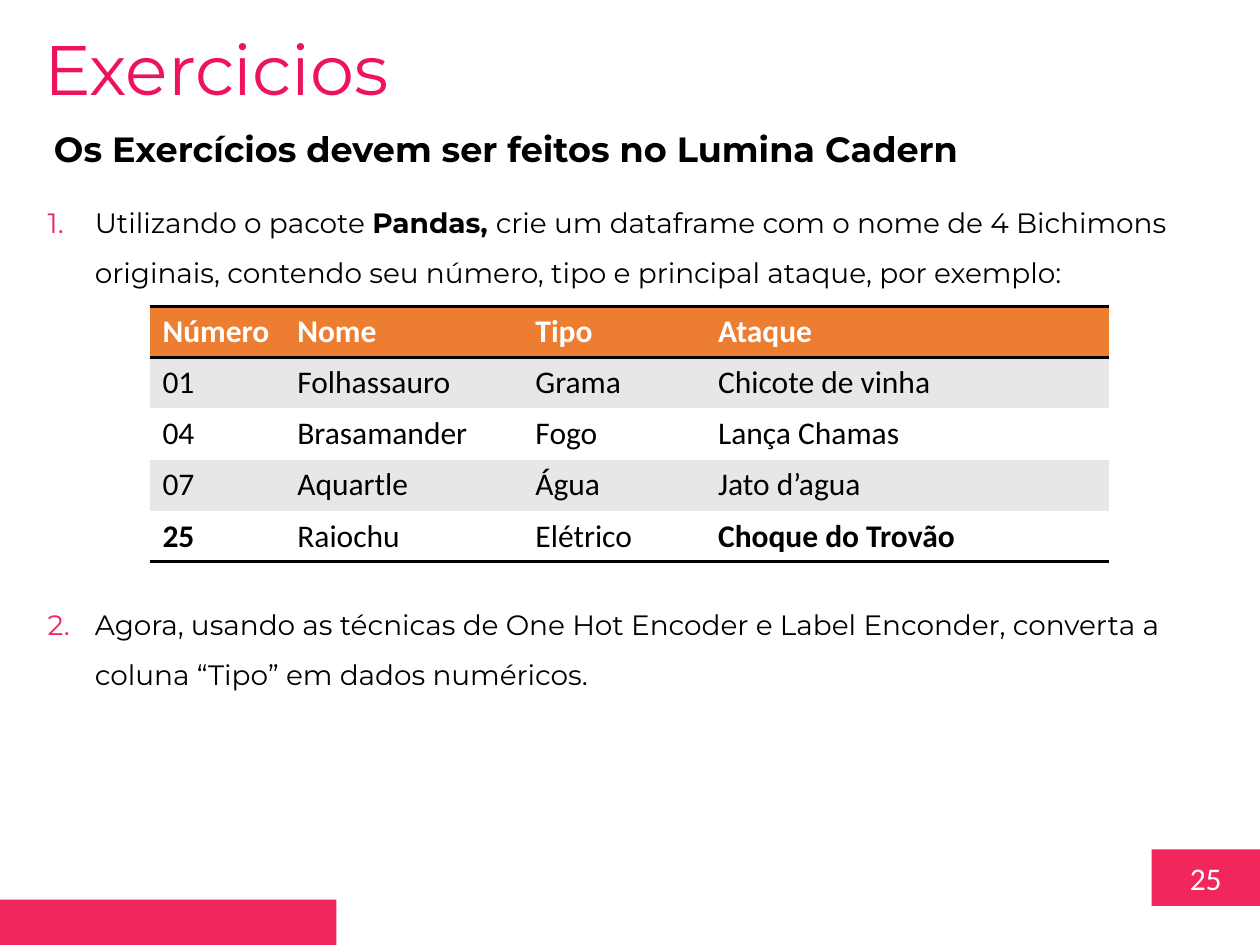
from dataclasses import dataclass

import lxml.etree
import pptx
import pptx.dml.color
import pptx.enum.shapes
import pptx.enum.text
import pptx.oxml.ns
import pptx.util

CELL = 0.1  # inches per grid step: 100 columns by 75 rows
PINK, BLACK, WHITE = "F0265D", "000000", "FFFFFF"
ORANGE, GREY = "ED7D31", "E7E7E7"
SANS, BODY = "Montserrat", "Calibri"
PLAIN = "{2D5ABB26-0587-4C30-8999-92F81FD0307C}"  # table style without grid
ANCHOR = pptx.enum.text.MSO_ANCHOR
ALIGN = pptx.enum.text.PP_ALIGN


@dataclass
class Box:
    col: float
    row: float
    cols: float
    rows: float

    def place(self) -> list:
        return [grid(n) for n in (self.col, self.row, self.cols, self.rows)]


@dataclass
class Style:
    face: str
    size: float
    tint: str
    bold: bool = False


@dataclass
class Item:
    spans: list  # pairs of text and bold flag
    before: float = 0


ITEMS = [
    Item([("Utilizando o pacote ", False), ("Pandas, ", True),
          ("crie um dataframe com o nome de 4 Bichimons originais, contendo "
           "seu número, tipo e principal ataque, por exemplo:", False)]),
    Item([("Agora, usando as técnicas de One Hot Encoder e Label Enconder, "
           "converta a coluna “Tipo” em dados numéricos.", False)], 172),
]
ROWS = [
    ("Número", "Nome", "Tipo", "Ataque"),
    ("01", "Folhassauro", "Grama", "Chicote de vinha"),
    ("04", "Brasamander", "Fogo", "Lança Chamas"),
    ("07", "Aquartle", "Água", "Jato d’agua"),
    ("25", "Raiochu", "Elétrico", "Choque do Trovão"),
]
STRONG = {"25", "Choque do Trovão"}
WIDTHS = (10.7, 18.9, 14.5, 32)


def grid(steps: float) -> pptx.util.Emu:
    return pptx.util.Inches(steps * CELL)


def rgb(tint: str) -> pptx.dml.color.RGBColor:
    return pptx.dml.color.RGBColor.from_string(tint)


def paint(fill, tint: str) -> None:
    fill.solid()
    fill.fore_color.rgb = rgb(tint)


def add(parent, tag: str, **attrs: str):
    node = lxml.etree.SubElement(parent, pptx.oxml.ns.qn(tag))
    for key, value in attrs.items():
        node.set(key, value)
    return node


def dress(font, style: Style) -> None:
    font.name, font.bold = style.face, style.bold
    font.size = pptx.util.Pt(style.size)
    font.color.rgb = rgb(style.tint)


def write(frame, text: str, style: Style, align=ALIGN.LEFT,
          anchor=ANCHOR.TOP) -> None:
    frame.text = text
    frame.word_wrap = True
    frame.vertical_anchor = anchor
    para = frame.paragraphs[0]
    para.alignment = align
    dress(para.runs[0].font, style)


def block(slide, box: Box, tint: str):
    kind = pptx.enum.shapes.MSO_SHAPE.RECTANGLE
    shape = slide.shapes.add_shape(kind, *box.place())
    shape.shadow.inherit = False
    paint(shape.fill, tint)
    shape.line.fill.background()
    return shape


def head(slide, box: Box, text: str) -> None:
    title = slide.shapes.title
    title.left, title.top, title.width, title.height = box.place()
    write(title.text_frame, text, Style(SANS, 40, "ED145B"))


def tasks(slide, box: Box, items: list[Item]) -> None:
    frame = slide.shapes.add_textbox(*box.place()).text_frame
    frame.word_wrap = True
    for n, item in enumerate(items):
        para = frame.add_paragraph() if n else frame.paragraphs[0]
        props = para._p.get_or_add_pPr()
        props.set("marL", str(grid(3.75)))
        props.set("indent", str(-grid(3.75)))
        add(add(props, "a:buClr"), "a:srgbClr", val="ED265B")
        add(props, "a:buFont", typeface="+mj-lt")
        add(props, "a:buAutoNum", type="arabicPeriod")
        para.line_spacing = 1.5
        if item.before:
            para.space_before = pptx.util.Pt(item.before)
        for text, bold in item.spans:
            run = para.add_run()
            run.text = text
            dress(run.font, Style(SANS, 16, BLACK, bold))


def rule(cell, side: str) -> None:
    line = add(cell._tc.get_or_add_tcPr(), side, w=str(pptx.util.Pt(2)))
    add(add(line, "a:solidFill"), "a:srgbClr", val=BLACK)


def table(slide, box: Box) -> None:
    frame = slide.shapes.add_table(len(ROWS), len(WIDTHS), *box.place())
    tab = frame.table
    tab._tbl.tblPr.find(pptx.oxml.ns.qn("a:tableStyleId")).text = PLAIN
    for col, width in zip(tab.columns, WIDTHS):
        col.width = grid(width)
    for r, texts in enumerate(ROWS):
        top = r == 0
        tab.rows[r].height = grid(box.rows / len(ROWS))
        back = ORANGE if top else GREY if r % 2 else WHITE
        for c, text in enumerate(texts):
            cell = tab.cell(r, c)
            if top:
                rule(cell, "a:lnT")
            if top or r == len(ROWS) - 1:
                rule(cell, "a:lnB")
            paint(cell.fill, back)
            cell.text = text
            dress(cell.text_frame.paragraphs[0].runs[0].font,
                  Style(BODY, 18, WHITE if top else BLACK,
                        top or text in STRONG))


def main() -> None:
    deck = pptx.Presentation()
    deck.slide_width, deck.slide_height = grid(100), grid(75)
    slide = deck.slides.add_slide(deck.slide_layouts[5])
    page = block(slide, Box(91.4, 67.4, 8.6, 4.5), PINK)
    write(page.text_frame, "25", Style(BODY, 18, WHITE),
          ALIGN.CENTER, ANCHOR.MIDDLE)
    block(slide, Box(0, 71.4, 26.7, 3.6), PINK)
    head(slide, Box(2.5, 1.5, 69.2, 7.7), "Exercicios")
    note = block(slide, Box(3.3, 9.6, 93.2, 9.8), WHITE)
    write(note.text_frame, "Os Exercícios devem ser feitos no Lumina Cadern",
          Style(SANS, 20, BLACK, True))
    tasks(slide, Box(2.8, 14.5, 93.2, 45), ITEMS)
    table(slide, Box(11.9, 24.3, sum(WIDTHS), 20.3))
    deck.save("out.pptx")


if __name__ == "__main__":
    main()
